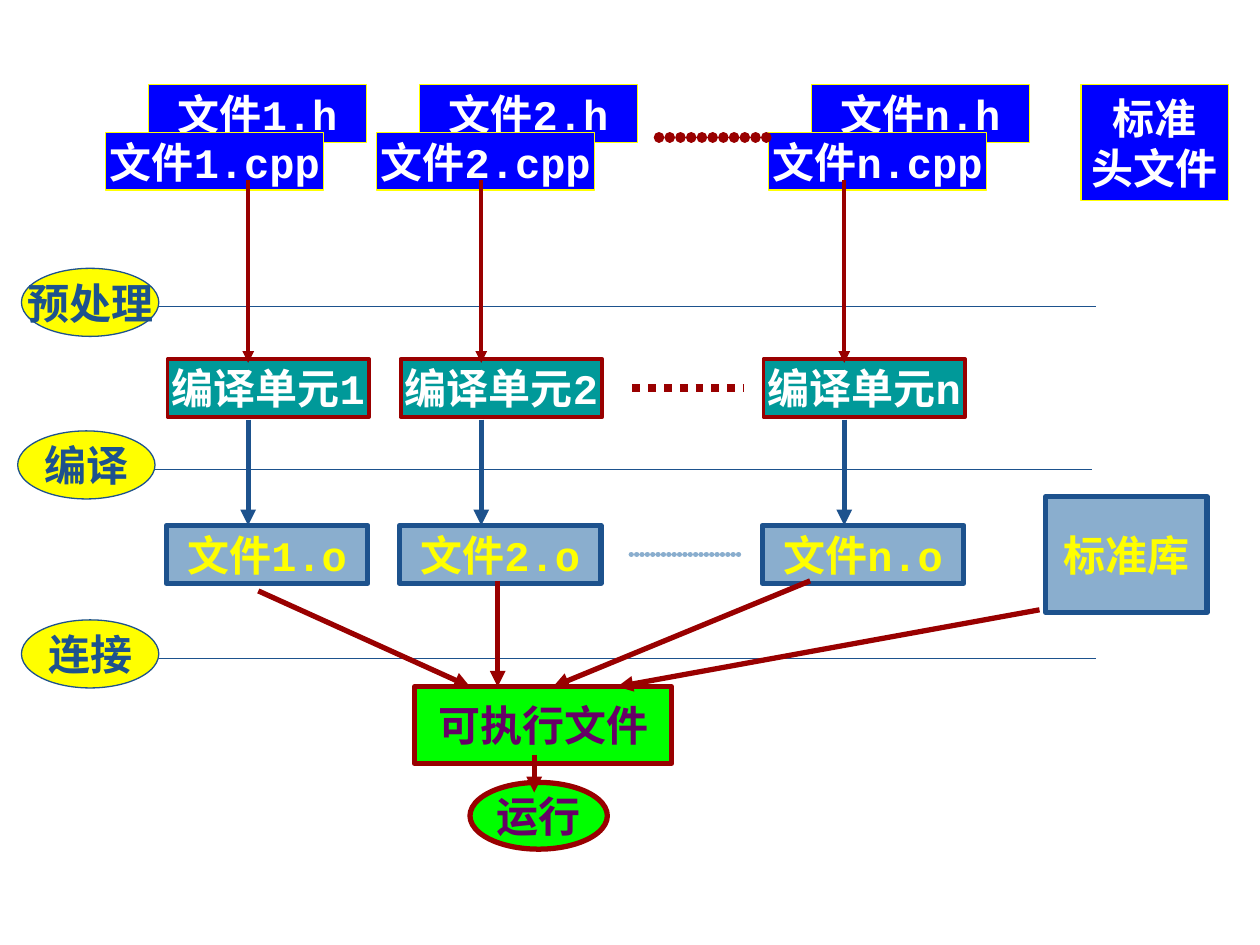
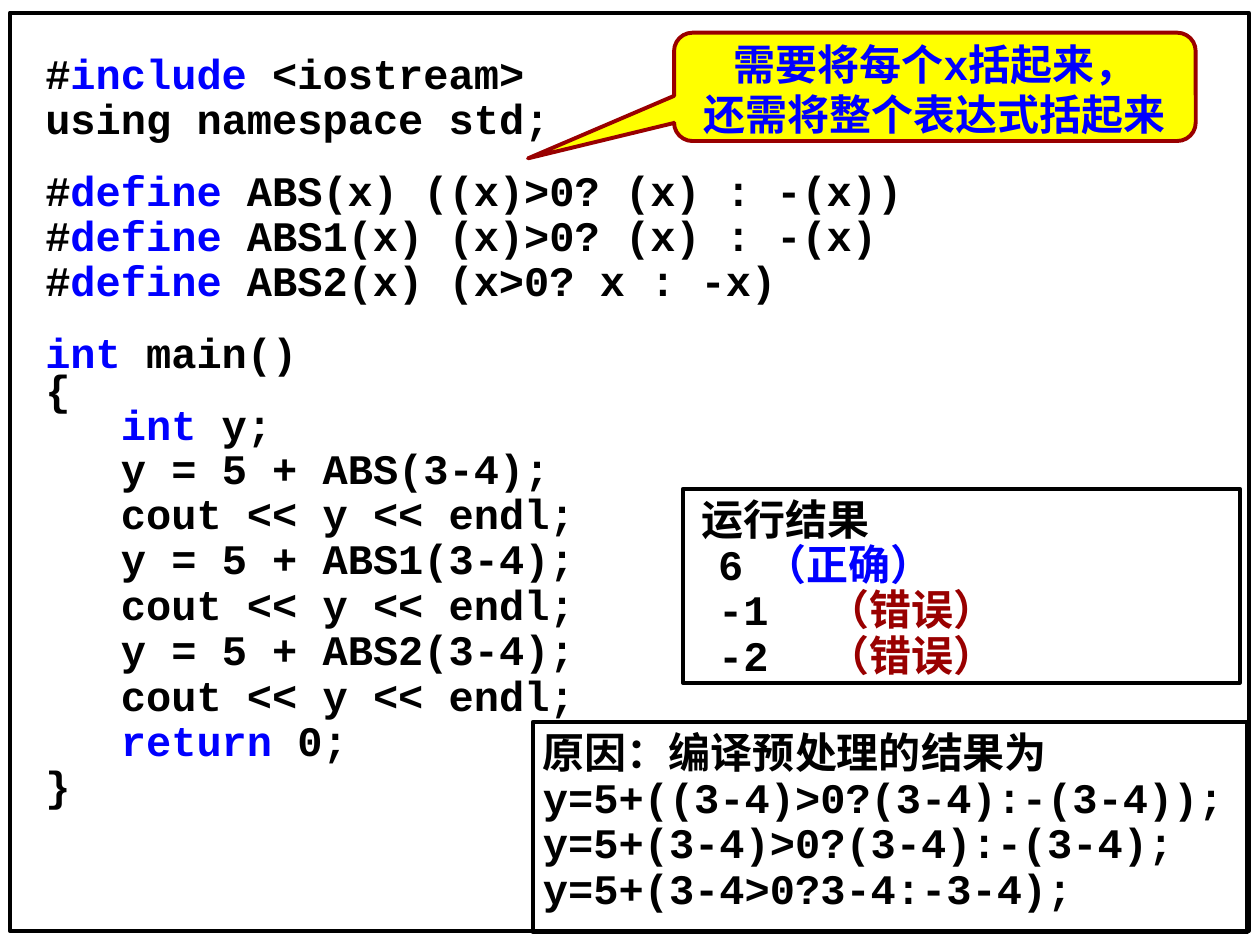
from pptx import Presentation
from pptx.dml.color import RGBColor
from pptx.enum.dml import MSO_LINE_DASH_STYLE as Dash
from pptx.enum.shapes import MSO_CONNECTOR as Connector, MSO_SHAPE as Shape
from pptx.enum.text import MSO_ANCHOR as Anchor, PP_ALIGN as Align
from pptx.oxml.ns import qn
from pptx.util import Inches, Pt
from lxml.etree import SubElement

WIDTH, HEIGHT = Inches(10), Inches(7.5)
COLUMN, ROW = WIDTH / 100, HEIGHT / 75

BLACK = RGBColor(0x00, 0x00, 0x00)
WHITE = RGBColor(0xFF, 0xFF, 0xFF)
BLUE = RGBColor(0x00, 0x00, 0xFF)
YELLOW = RGBColor(0xFF, 0xFF, 0x00)
GREEN = RGBColor(0x00, 0xFF, 0x00)
RED = RGBColor(0x99, 0x00, 0x00)
TEAL = RGBColor(0x00, 0x99, 0x99)
NAVY = RGBColor(0x1D, 0x52, 0x8D)
STEEL = RGBColor(0x8A, 0xAE, 0xCE)
PURPLE = RGBColor(0x66, 0x00, 0x66)

CODE_FONT, CHINESE_FONT = "Courier New", "Noto Sans CJK SC"

SOURCE_STYLE = dict(fill=BLUE, line=YELLOW, line_width=0.75, color=WHITE)
UNIT_STYLE = dict(fill=TEAL, line=RED, line_width=2.25, color=WHITE)
OBJECT_STYLE = dict(fill=STEEL, line=NAVY, line_width=3, color=YELLOW)
STAGE_STYLE = dict(fill=YELLOW, line=NAVY, line_width=0.75, color=NAVY)
PROGRAM_STYLE = dict(fill=GREEN, line=RED, line_width=3, color=PURPLE)

CODE = [  # text with keywords between bars, line spacing, space before
    ("#|include| <iostream>", 1.5, 0),
    ("using namespace std;", 0.9, 0),
    ("#|define| ABS(x) ((x)>0? (x) : -(x))", 0.9, 15),
    ("#|define| ABS1(x) (x)>0? (x) : -(x)", 0.9, 0),
    ("#|define| ABS2(x) (x>0? x : -x)", 0.9, 0),
    ("|int| main()", 0.9, 15),
    ("{", 0.7, 0),
    ("   |int| y;", 0.7, 0),
    ("   y = 5 + ABS(3-4);", 0.9, 0),
    ("   cout << y << endl;", 0.9, 0),
    ("   y = 5 + ABS1(3-4);", 0.9, 0),
    ("   cout << y << endl;", 0.9, 0),
    ("   y = 5 + ABS2(3-4);", 0.9, 0),
    ("   cout << y << endl;", 0.9, 0),
    ("   |return| 0;", 0.9, 0),
    ("}", 0.9, 0),
]
RESULTS = [("6", "正确", BLUE), ("-1", "错误", RED), ("-2", "错误", RED)]
EXPANSIONS = [
    "原因：编译预处理的结果为",
    "y=5+((3-4)>0?(3-4):-(3-4));",
    "y=5+(3-4)>0?(3-4):-(3-4);",
    "y=5+(3-4>0?3-4:-3-4);",
]


def across(columns):
    return round(columns * COLUMN)


def down(rows):
    return round(rows * ROW)


def add_text(frame, text, *, color=BLACK, accent=BLUE, font=CODE_FONT,
             accent_font=CODE_FONT, align=Align.LEFT, spacing=None, before=0,
             indent=0, tab=None):
    """Add one paragraph; the parts between bars take the accent format."""
    paragraph = frame.paragraphs[0]
    if paragraph.runs:
        paragraph = frame.add_paragraph()
    paragraph.alignment = align
    if spacing:
        paragraph.line_spacing = spacing
    if before:
        paragraph.space_before = Pt(before)
    properties = paragraph._p.get_or_add_pPr()
    if indent:
        properties.set("marL", "0")
        properties.set("indent", str(across(indent)))
    if tab:
        tabs = SubElement(properties, qn("a:tabLst"))
        SubElement(tabs, qn("a:tab"), pos=str(across(tab)), algn="l")
    for number, part in enumerate(text.split("|")):
        if not part:
            continue
        accented = number % 2 == 1
        run = paragraph.add_run()
        run.text = part
        run.font.size = Pt(24)
        run.font.bold = True
        run.font.name = accent_font if accented else font
        run.font.color.rgb = accent if accented else color
        SubElement(run._r.get_or_add_rPr(), qn("a:ea"), typeface=CHINESE_FONT)


def add_box(slide, left, top, width, height, *, kind=Shape.RECTANGLE,
            fill=None, line=BLACK, line_width=2.25, anchor=Anchor.TOP,
            inset=0.8, left_inset=None):
    """Draw an outlined shape and return it, ready for text."""
    box = slide.shapes.add_shape(kind, across(left), down(top),
                                 across(width), down(height))
    box.shadow.inherit = False
    if fill is None:
        box.fill.background()
    else:
        box.fill.solid()
        box.fill.fore_color.rgb = fill
    box.line.color.rgb = line
    box.line.width = Pt(line_width)
    frame = box.text_frame
    frame.word_wrap = False
    frame.vertical_anchor = anchor
    frame.margin_left = across(inset if left_inset is None else left_inset)
    frame.margin_right = across(inset)
    frame.margin_top = frame.margin_bottom = down(inset)
    return box


def add_label(slide, text, left, top, width, height, *, color, **style):
    box = add_box(slide, left, top, width, height, anchor=Anchor.MIDDLE,
                  inset=0.5, **style)
    for line in text.split("\n"):
        add_text(box.text_frame, line, color=color, align=Align.CENTER)


def add_line(slide, start, end, *, color, width, arrow=False, dash=None,
             beads=False):
    """Draw a line; beads makes it a string of touching round dots."""
    line = slide.shapes.add_connector(
        Connector.STRAIGHT, across(start[0]), down(start[1]),
        across(end[0]), down(end[1]))
    line.line.color.rgb = color
    line.line.width = Pt(width)
    if dash:
        line.line.dash_style = dash
    outline = line.line._get_or_add_ln()
    if beads:
        outline.set("cap", "rnd")
        dashes = SubElement(outline, qn("a:custDash"))
        SubElement(dashes, qn("a:ds"), d="100000", sp="2000")
        SubElement(outline, qn("a:round"))
    if arrow:
        SubElement(outline, qn("a:tailEnd"), type="triangle")
    SubElement(line._element.spPr, qn("a:effectLst"))


def add_stage(slide, name, left, top):
    """Draw a stage oval with the rule that separates its two levels."""
    add_label(slide, name, left, top, 10.9, 5.4, kind=Shape.OVAL, **STAGE_STYLE)
    rule = top + 3.05
    add_line(slide, (left + 10.9, rule), (left + 85.3, rule),
             color=NAVY, width=0.75)


def build_compilation(slide):
    names = ("1", "2", "n")
    source_lefts = (11.8, 33.3, 64.4)
    unit_lefts = (13.3, 31.8, 60.6)

    for name, left in zip(names, source_lefts):
        add_label(slide, f"文件{name}.h", left, 6.7, 17.3, 4.6, **SOURCE_STYLE)
        add_label(slide, f"文件{name}.cpp", left - 3.4, 10.5, 17.3, 4.6,
                  **SOURCE_STYLE)
    add_line(slide, (52.3, 10.9), (61, 10.9), color=RED, width=6, beads=True)

    for name, left, top in (("预处理", 1.7, 21.3), ("编译", 1.4, 34.2),
                            ("连接", 1.7, 49.2)):
        add_stage(slide, name, left, top)
    add_label(slide, "标准\n头文件", 85.8, 6.7, 11.7, 9.2, **SOURCE_STYLE)

    for name, left in zip(names, unit_lefts):
        add_label(slide, f"编译单元{name}", left, 28.5, 16, 4.6, **UNIT_STYLE)
        add_label(slide, f"文件{name}.o", left - 0.1, 41.7, 16, 4.6,
                  **OBJECT_STYLE)
        center = left + 6.4
        add_line(slide, (center, 14.3), (center, 28.8), color=RED, width=2.25,
                 arrow=True)
        add_line(slide, (center, 33.3), (center, 41.7), color=NAVY, width=3,
                 arrow=True)
    add_line(slide, (50.2, 30.8), (59, 30.8), color=RED, width=4.5,
             dash=Dash.ROUND_DOT)
    add_line(slide, (50.1, 44), (58.9, 44), color=STEEL, width=3, beads=True)
    add_label(slide, "标准库", 83, 39.4, 12.8, 9.2, **OBJECT_STYLE)

    add_label(slide, "运行", 37.3, 62.1, 10.9, 5.3, kind=Shape.OVAL,
              **PROGRAM_STYLE)
    add_label(slide, "可执行文件", 32.9, 54.5, 20.4, 6.1, **PROGRAM_STYLE)
    for start, end in (((39.5, 46.1), (39.5, 54.5)),
                       ((20.5, 46.9), (37.3, 54.5)),
                       ((64.3, 46.1), (43.9, 54.5)),
                       ((82.5, 48.4), (49, 54.5)),
                       ((42.4, 59.9), (42.4, 62.9))):
        add_line(slide, start, end, color=RED, width=3, arrow=True)


def build_macro_example(slide):
    code = add_box(slide, 0.8, 1, 98.3, 72.9, left_inset=2.8)
    for text, spacing, before in CODE:
        add_text(code.text_frame, text, spacing=spacing, before=before)

    results = add_box(slide, 54.2, 38.8, 44.2, 15.4, left_inset=1.5)
    add_text(results.text_frame, "运行结果", spacing=0.9)
    for value, verdict, color in RESULTS:
        add_text(results.text_frame, f"{value}\t|（{verdict}）", accent=color,
                 spacing=0.9, indent=1.3, tab=19.3)

    reason = add_box(slide, 42.3, 57.3, 56.7, 16.7)
    for text in EXPANSIONS:
        add_text(reason.text_frame, text, spacing=0.9)

    callout = add_box(slide, 53.5, 2.6, 41.4, 8.6, inset=0, fill=YELLOW,
                      line=RED, kind=Shape.ROUNDED_RECTANGULAR_CALLOUT)
    for index, value in enumerate((-0.78, 0.66, 0.17)):
        callout.adjustments[index] = value
    for text in ("需要将每个|x|括起来，", "还需将整个表达式括起来"):
        add_text(callout.text_frame, text, color=BLUE, font=CHINESE_FONT,
                 align=Align.CENTER)


def main():
    presentation = Presentation()
    presentation.slide_width, presentation.slide_height = WIDTH, HEIGHT
    blank = presentation.slide_layouts[6]
    for build in (build_compilation, build_macro_example):
        build(presentation.slides.add_slide(blank))
    presentation.save("out.pptx")


if __name__ == "__main__":
    main()
